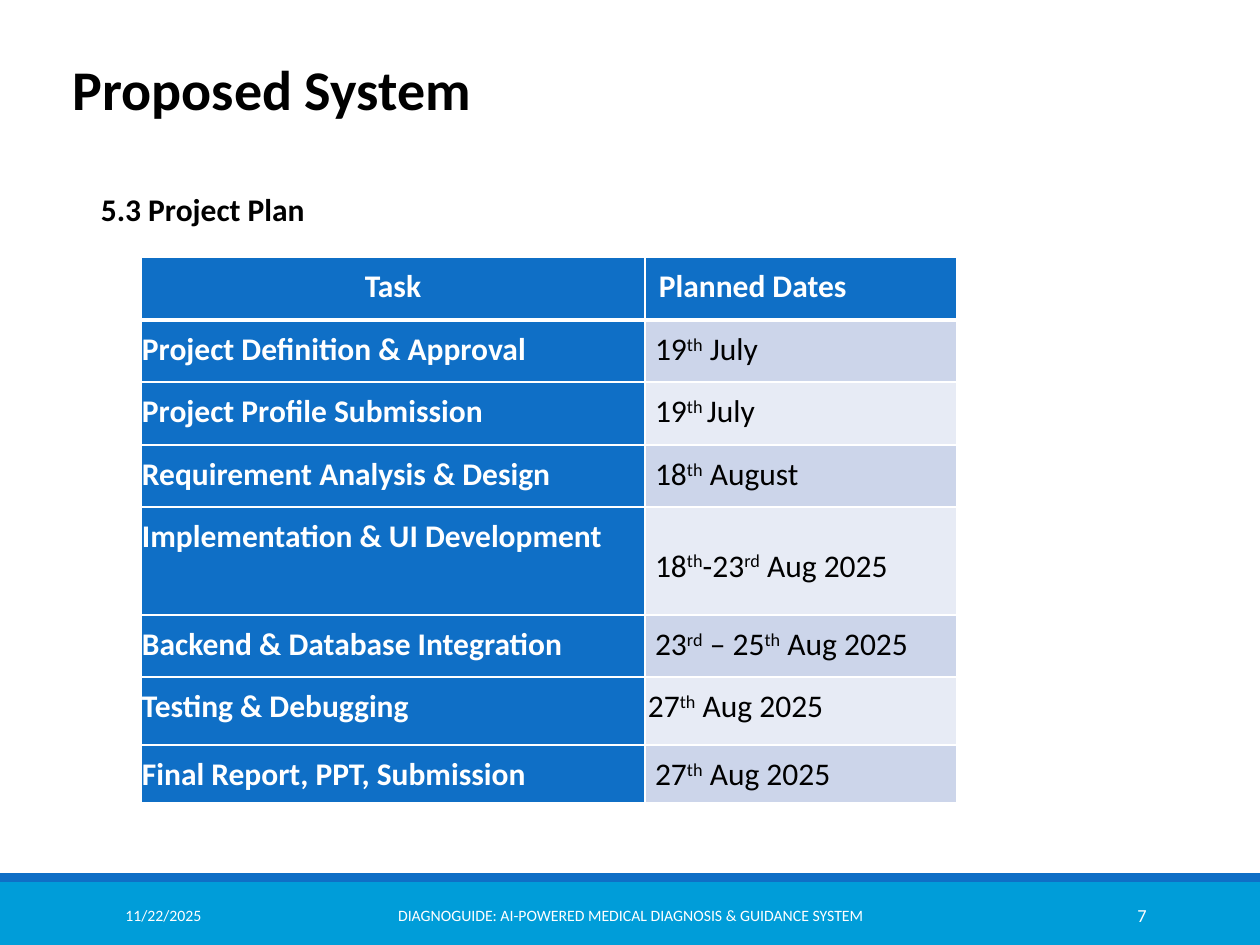
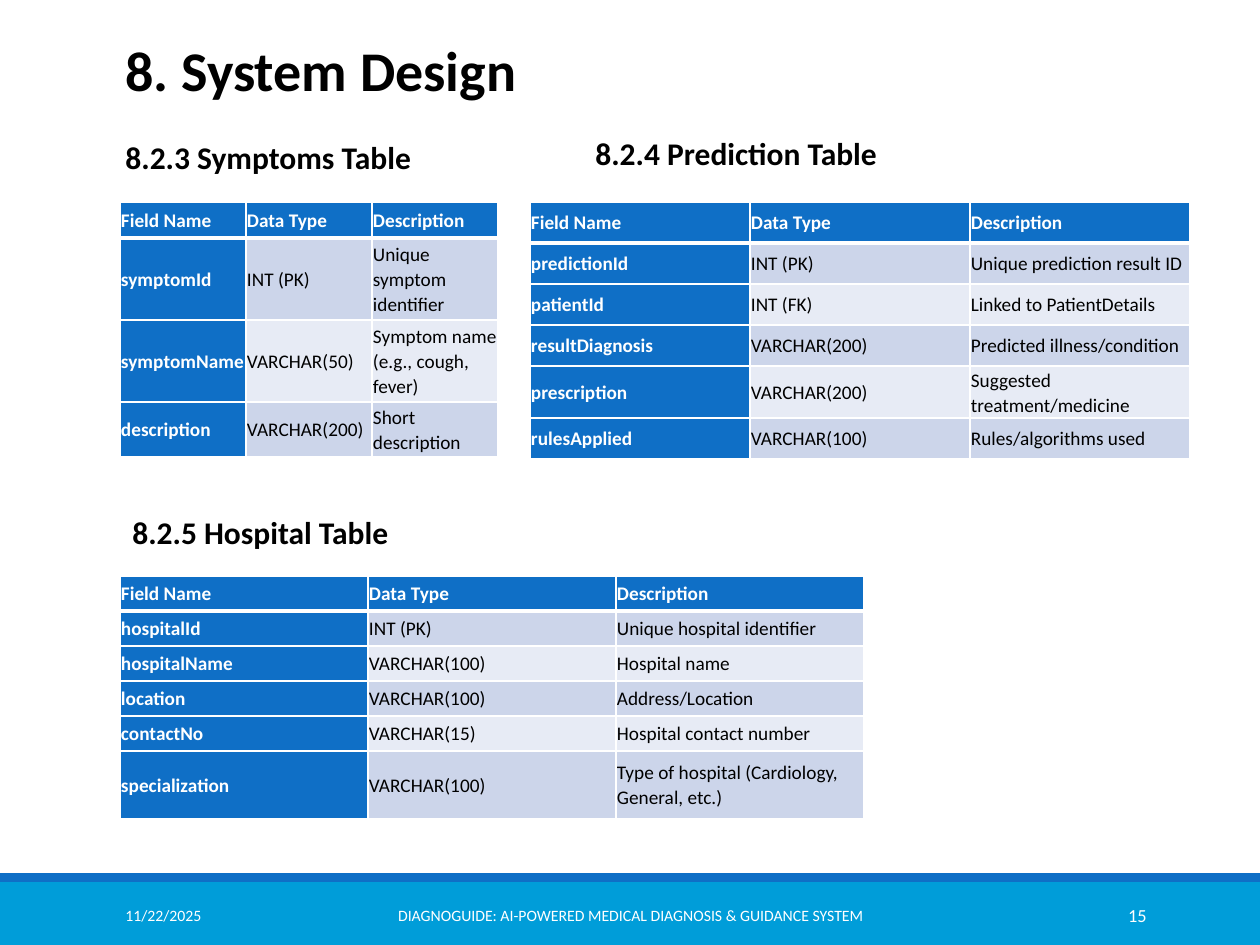
import pptx
import pptx.util
import pptx.dml.color
import pptx.enum.shapes
import pptx.enum.text
import pptx.oxml.ns
from lxml import etree

PX = 914400 / 126
FONT = "Calibri"
COLORS = {"band": "009DD9", "accent": "0F6FC6", "odd": "CCD5EA",
          "even": "E7EBF5", "white": "FFFFFF", "black": "000000"}
ALIGN = pptx.enum.text.PP_ALIGN
ANCHOR = pptx.enum.text.MSO_ANCHOR

# Shared footer: bands (colour, box) and texts (text, box, size, alignment)
BANDS = [("band", (0, 882, 1260, 63)), ("accent", (0, 873, 1260, 9))]
FOOTER = [
    ("11/22/2025", (113, 890, 256, 50), 9, ALIGN.LEFT),
    ("DIAGNOGUIDE: AI-POWERED MEDICAL DIAGNOSIS & GUIDANCE SYSTEM",
     (381, 890, 499, 50), 9, ALIGN.CENTER),
]
NUMBER_BOX = (1023, 890, 136, 50)

# Text formats
TITLE = {"size": 32, "bold": True}
HEADING = {"size": 18, "bold": True}
LOOSE = {"line_spacing": 1.07, "space_after": pptx.util.Pt(8)}

# Table styles: header_align and indents apply per column; ^ encloses superscripts
PLAN = {"size": 18, "anchor": ANCHOR.TOP, "insets": (8, 0),
        "header_align": (ALIGN.CENTER, ALIGN.LEFT),
        "header_indents": (1, 14), "indents": (1, 3)}
FIELDS = {"size": 11, "anchor": ANCHOR.MIDDLE, "insets": (1, 1),
          "header_align": (ALIGN.LEFT,) * 3,
          "header_indents": (1,) * 3, "indents": (1,) * 3}
FIELD_HEADER = ("Field Name", "Data Type", "Description")

SLIDES = [
    {
        "number": 7,
        "texts": [
            ((60, 48, 1142, 186), [
                ("Proposed System", TITLE, {}),
                ("    5.3 Project Plan", HEADING, {"space_before": pptx.util.Pt(39)}),
            ]),
        ],
        "tables": [{
            "at": (141, 257), "columns": (504, 312), "style": PLAN,
            "heights": (63, 62, 63, 62, 108, 62, 68, 58), "centred": [(4, 1)],
            "rows": [
                ("Task", "Planned Dates"),
                ("Project Definition & Approval", " 19^th^ July"),
                ("Project Profile Submission", " 19^th ^July"),
                ("Requirement Analysis & Design", " 18^th^ August"),
                ("Implementation & UI Development", " 18^th^-23^rd^ Aug 2025"),
                ("Backend & Database Integration", " 23^rd^ – 25^th^ Aug 2025"),
                ("Testing & Debugging", "27^th^ Aug 2025"),
                ("Final Report, PPT, Submission", " 27^th^ Aug 2025"),
            ],
        }],
    },
    {
        "number": 15,
        "texts": [
            ((113, 29, 630, 81), [("8. System Design", TITLE, {})]),
            ((113, 132, 321, 89), [("8.2.3 Symptoms Table", HEADING, {})]),
            ((583, 125, 440, 52), [("8.2.4 Prediction Table", HEADING, LOOSE)]),
            ((120, 504, 302, 52), [("8.2.5 Hospital Table", HEADING, LOOSE)]),
        ],
        "tables": [
            {
                "at": (120, 202), "columns": (126,) * 3, "style": FIELDS,
                "heights": (36, 82, 82, 55),
                "rows": [
                    FIELD_HEADER,
                    ("symptomId", "INT (PK)", "Unique symptom identifier"),
                    ("symptomName", "VARCHAR(50)", "Symptom name (e.g., cough, fever)"),
                    ("description", "VARCHAR(200)", "Short description"),
                ],
            },
            {
                "at": (530, 202), "columns": (220,) * 3, "style": FIELDS,
                "heights": (41, 41, 41, 41, 52, 41),
                "rows": [
                    FIELD_HEADER,
                    ("predictionId", "INT (PK)", "Unique prediction result ID"),
                    ("patientId", "INT (FK)", "Linked to PatientDetails"),
                    ("resultDiagnosis", "VARCHAR(200)", "Predicted illness/condition"),
                    ("prescription", "VARCHAR(200)", "Suggested treatment/medicine"),
                    ("rulesApplied", "VARCHAR(100)", "Rules/algorithms used"),
                ],
            },
            {
                "at": (120, 576), "columns": (248,) * 3, "style": FIELDS,
                "heights": (35, 35, 35, 35, 35, 68),
                "rows": [
                    FIELD_HEADER,
                    ("hospitalId", "INT (PK)", "Unique hospital identifier"),
                    ("hospitalName", "VARCHAR(100)", "Hospital name"),
                    ("location", "VARCHAR(100)", "Address/Location"),
                    ("contactNo", "VARCHAR(15)", "Hospital contact number"),
                    ("specialization", "VARCHAR(100)",
                     "Type of hospital (Cardiology, General, etc.)"),
                ],
            },
        ],
    },
]


def emu(*lengths):
    return [pptx.util.Emu(round(length * PX)) for length in lengths]


def rgb(color):
    return pptx.dml.color.RGBColor.from_string(COLORS[color])


def set_all(target, values):
    for name, value in values.items():
        setattr(target, name, value)


def write(paragraph, text, size, color, bold=False, **layout):
    """Fill a paragraph; every second part between ^ marks is superscript."""
    set_all(paragraph, layout)
    for index, part in enumerate(text.split("^")):
        if not part:
            continue
        run = paragraph.add_run()
        run.text = part
        set_all(run.font, {"name": FONT, "size": pptx.util.Pt(size), "bold": bold})
        run.font.color.rgb = rgb(color)
        if index % 2:
            run.font._element.set("baseline", "30000")


def add_text(slide, box, paragraphs, color="black", anchor=ANCHOR.TOP):
    frame = slide.shapes.add_textbox(*emu(*box)).text_frame
    set_all(frame, {"word_wrap": True, "vertical_anchor": anchor})
    for index, (text, look, layout) in enumerate(paragraphs):
        paragraph = frame.add_paragraph() if index else frame.paragraphs[0]
        write(paragraph, text, color=color, **look, **layout)


def add_footer(slide, number):
    for color, box in BANDS:
        band = slide.shapes.add_shape(
            pptx.enum.shapes.MSO_SHAPE.RECTANGLE, *emu(*box))
        band.shadow.inherit = False
        band.fill.solid()
        band.fill.fore_color.rgb = rgb(color)
        band.line.fill.background()
    for text, box, size, align in FOOTER + [(str(number), NUMBER_BOX, 10.5, ALIGN.RIGHT)]:
        add_text(slide, box, [(text, {"size": size}, {"alignment": align})],
                 "white", ANCHOR.MIDDLE)


def add_borders(cell, row):
    """White 1 pt grid with a 3 pt rule under the header."""
    widths = {"lnL": 1, "lnR": 1, "lnT": 3 if row == 1 else 1, "lnB": 1 if row else 3}
    properties = cell._tc.get_or_add_tcPr()
    for side, width in widths.items():
        line = etree.SubElement(properties, pptx.oxml.ns.qn("a:" + side),
                                w=str(pptx.util.Pt(width)))
        fill = etree.SubElement(line, pptx.oxml.ns.qn("a:solidFill"))
        etree.SubElement(fill, pptx.oxml.ns.qn("a:srgbClr"), val=COLORS["white"])


def add_table(slide, at, columns, heights, rows, style, centred=()):
    size = (sum(columns), sum(heights))
    table = slide.shapes.add_table(len(rows), len(columns), *emu(*at, *size)).table
    for column, width in zip(table.columns, emu(*columns)):
        column.width = width
    for row, height in zip(table.rows, emu(*heights)):
        row.height = height
    for r, texts in enumerate(rows):
        for c, text in enumerate(texts):
            cell = table.cell(r, c)
            strong = r == 0 or c == 0
            indents = style["indents" if r else "header_indents"]
            left, right, top, bottom = emu(indents[c], 1, *style["insets"])
            set_all(cell, {
                "margin_left": left, "margin_right": right,
                "margin_top": top, "margin_bottom": bottom,
                "vertical_anchor": ANCHOR.MIDDLE if (r, c) in centred else style["anchor"],
            })
            add_borders(cell, r)
            cell.fill.solid()
            cell.fill.fore_color.rgb = rgb(
                "accent" if strong else "odd" if r % 2 else "even")
            write(cell.text_frame.paragraphs[0], text, style["size"],
                  "white" if strong else "black", strong,
                  alignment=ALIGN.LEFT if r else style["header_align"][c], **LOOSE)


def main():
    deck = pptx.Presentation()
    deck.slide_width, deck.slide_height = emu(1260, 945)
    for content in SLIDES:
        slide = deck.slides.add_slide(deck.slide_layouts[6])
        add_footer(slide, content["number"])
        for box, paragraphs in content["texts"]:
            add_text(slide, box, paragraphs)
        for table in content["tables"]:
            add_table(slide, **table)
    deck.save("out.pptx")


if __name__ == "__main__":
    main()
